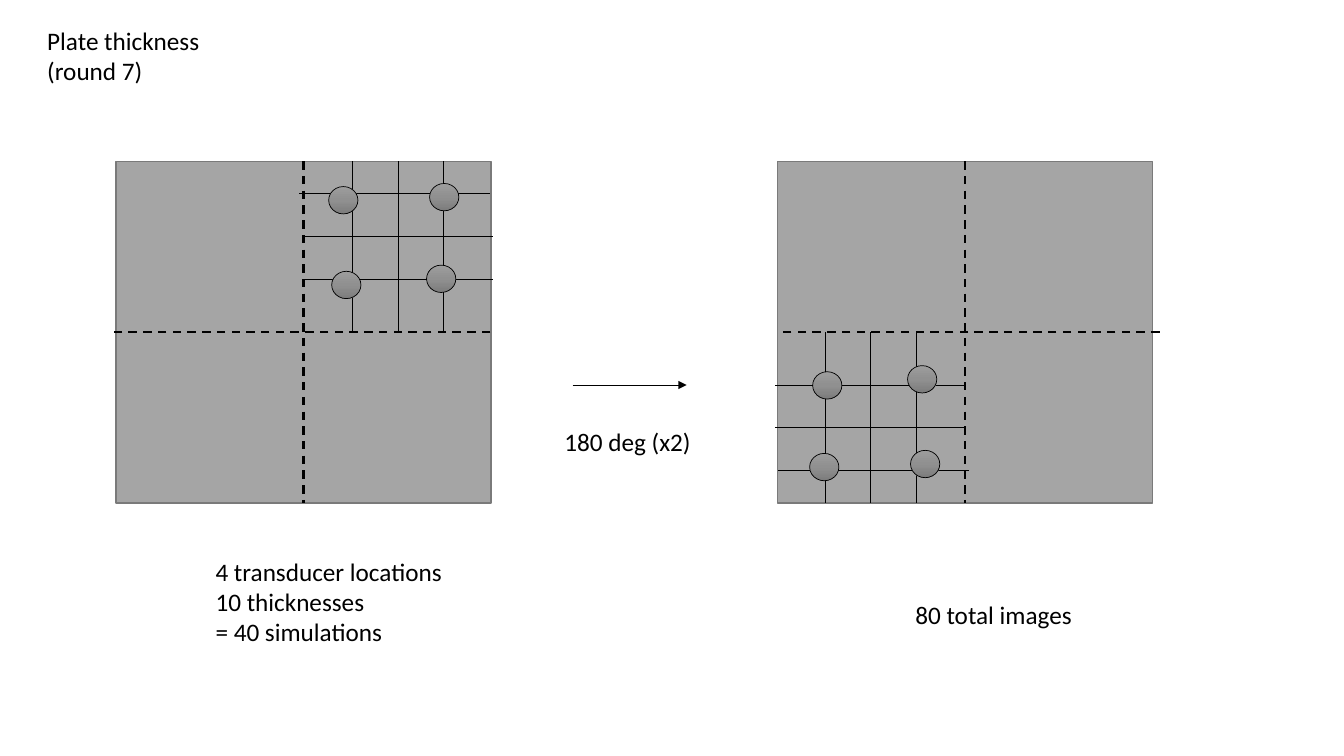
from copy import deepcopy
from typing import NamedTuple

from lxml import etree
from pptx import Presentation
from pptx.dml.color import RGBColor
from pptx.enum.dml import MSO_LINE
from pptx.enum.shapes import MSO_CONNECTOR, MSO_SHAPE
from pptx.enum.text import MSO_AUTO_SIZE
from pptx.oxml.ns import qn
from pptx.util import Inches, Pt

SLIDE_W, SLIDE_H = 13.33, 7.5
FONT, TEXT_SIZE = "Calibri", 18
THIN, DASHED = 0.5, 1.5
COLORS = {"ink": "000000", "plate": "A5A5A5", "plate_edge": "7A7A7A",
          "disc_top": "9D9D9D", "disc_middle": "909090", "disc_bottom": "7C7C7C"}


class Box(NamedTuple):
    """Left, top, width and height in percent of the enclosing area."""
    left: float
    top: float
    width: float
    height: float

    def turned(self) -> "Box":
        return Box(100 - self.left - self.width, 100 - self.top - self.height,
                   self.width, self.height)

    def inside(self, area: "Box") -> "Box":
        return Box(area.left + self.left * area.width / 100,
                   area.top + self.top * area.height / 100,
                   self.width * area.width / 100, self.height * area.height / 100)


class Rule(NamedTuple):
    """A straight line on the plate, in percent of the plate."""
    x1: float
    y1: float
    x2: float
    y2: float
    dashed: bool = False


class Plate(NamedTuple):
    area: Box
    turned: bool


class Label(NamedTuple):
    box: Box
    lines: tuple[str, ...]


# Plate layout: halving lines, then the grid of the upper right quadrant
RULES = [
    Rule(50, 0, 50, 100, True),
    Rule(99.8, 50, -1.9, 50, True),
    Rule(48.9, 9.4, 99.8, 9.4),
    *(Rule(50, y, 100.5, y) for y in (22.1, 34.5)),
    *(Rule(x, 0, x, 50) for x in (63, 75.3, 87.3)),
]
TRANSDUCERS = [Box(x, y, 7.8, 8) for x, y in
               ((83.6, 6.5), (57.5, 32.2), (56.7, 7.4), (82.8, 30.4))]
PLATES = [Plate(Box(8.63, 21.33, 27.91, 45.2), False),
          Plate(Box(57.84, 21.33, 27.91, 45.2), True)]
LABELS = [
    Label(Box(2.78, 2.67, 21.68, 9.47), ("Plate thickness", "(round 7)")),
    Label(Box(15.3, 72.93, 22.06, 13.47),
          ("4 transducer locations", "10 thicknesses", "= 40 simulations")),
    Label(Box(41.26, 55.73, 11.25, 5.33), ("180 deg (x2)",)),
    Label(Box(67.37, 78.67, 14.25, 5.33), ("80 total images",)),
]
TURN_ARROW = Box(42.61, 50.93, 8.48, 0)


def rgb(name: str) -> RGBColor:
    return RGBColor.from_string(COLORS[name])


def across(share: float) -> int:
    return Inches(SLIDE_W * share / 100)


def down(share: float) -> int:
    return Inches(SLIDE_H * share / 100)


def frame(box: Box) -> tuple[int, int, int, int]:
    return across(box.left), down(box.top), across(box.width), down(box.height)


def draw_shape(shapes, kind: MSO_SHAPE, box: Box, edge: str, weight: float):
    shape = shapes.add_shape(kind, *frame(box))
    shape.shadow.inherit = False
    shape.line.color.rgb = rgb(edge)
    shape.line.width = Pt(weight)
    return shape


def draw_line(shapes, box: Box, weight: float):
    line = shapes.add_connector(
        MSO_CONNECTOR.STRAIGHT, across(box.left), down(box.top),
        across(box.left + box.width), down(box.top + box.height))
    line.line.color.rgb = rgb("ink")
    line.line.width = Pt(weight)
    etree.SubElement(line._element.spPr, qn("a:effectLst"))
    return line


def shade_disc(disc) -> None:
    disc.fill.gradient()
    disc.fill.gradient_angle = 270
    stops = disc._element.spPr.find(qn("a:gradFill")).find(qn("a:gsLst"))
    stops.insert(1, deepcopy(stops[0]))
    names = ("disc_top", "disc_middle", "disc_bottom")
    for stop, name, place in zip(disc.fill.gradient_stops, names, (0, 0.5, 1)):
        stop.color.rgb = rgb(name)
        stop.position = place


def draw_plate(shapes, plate: Plate) -> None:
    group = shapes.add_group_shape().shapes

    def place(box: Box) -> Box:
        return (box.turned() if plate.turned else box).inside(plate.area)

    sheet = draw_shape(group, MSO_SHAPE.RECTANGLE, plate.area, "plate_edge", 1)
    sheet.fill.solid()
    sheet.fill.fore_color.rgb = rgb("plate")
    for rule in RULES:
        span = Box(rule.x1, rule.y1, rule.x2 - rule.x1, rule.y2 - rule.y1)
        line = draw_line(group, place(span), DASHED if rule.dashed else THIN)
        if rule.dashed:
            line.line.dash_style = MSO_LINE.DASH
    for transducer in TRANSDUCERS:
        shade_disc(draw_shape(group, MSO_SHAPE.OVAL, place(transducer), "ink", THIN))


def draw_label(shapes, label: Label) -> None:
    text = shapes.add_textbox(*frame(label.box)).text_frame
    text.word_wrap = True
    text.auto_size = MSO_AUTO_SIZE.SHAPE_TO_FIT_TEXT
    text.text = "\n".join(label.lines)
    for paragraph in text.paragraphs:
        font = paragraph.runs[0].font
        font.name, font.size = FONT, Pt(TEXT_SIZE)
        font.color.rgb = rgb("ink")


def main() -> None:
    deck = Presentation()
    deck.slide_width, deck.slide_height = Inches(SLIDE_W), Inches(SLIDE_H)
    shapes = deck.slides.add_slide(deck.slide_layouts[6]).shapes

    # Plate before and after the half turn
    for plate in PLATES:
        draw_plate(shapes, plate)

    # Arrow between the plates
    arrow = draw_line(shapes, TURN_ARROW, THIN)
    etree.SubElement(arrow.line._get_or_add_ln(), qn("a:tailEnd"), type="triangle")

    # Title and captions
    for label in LABELS:
        draw_label(shapes, label)

    deck.save("out.pptx")


main()
